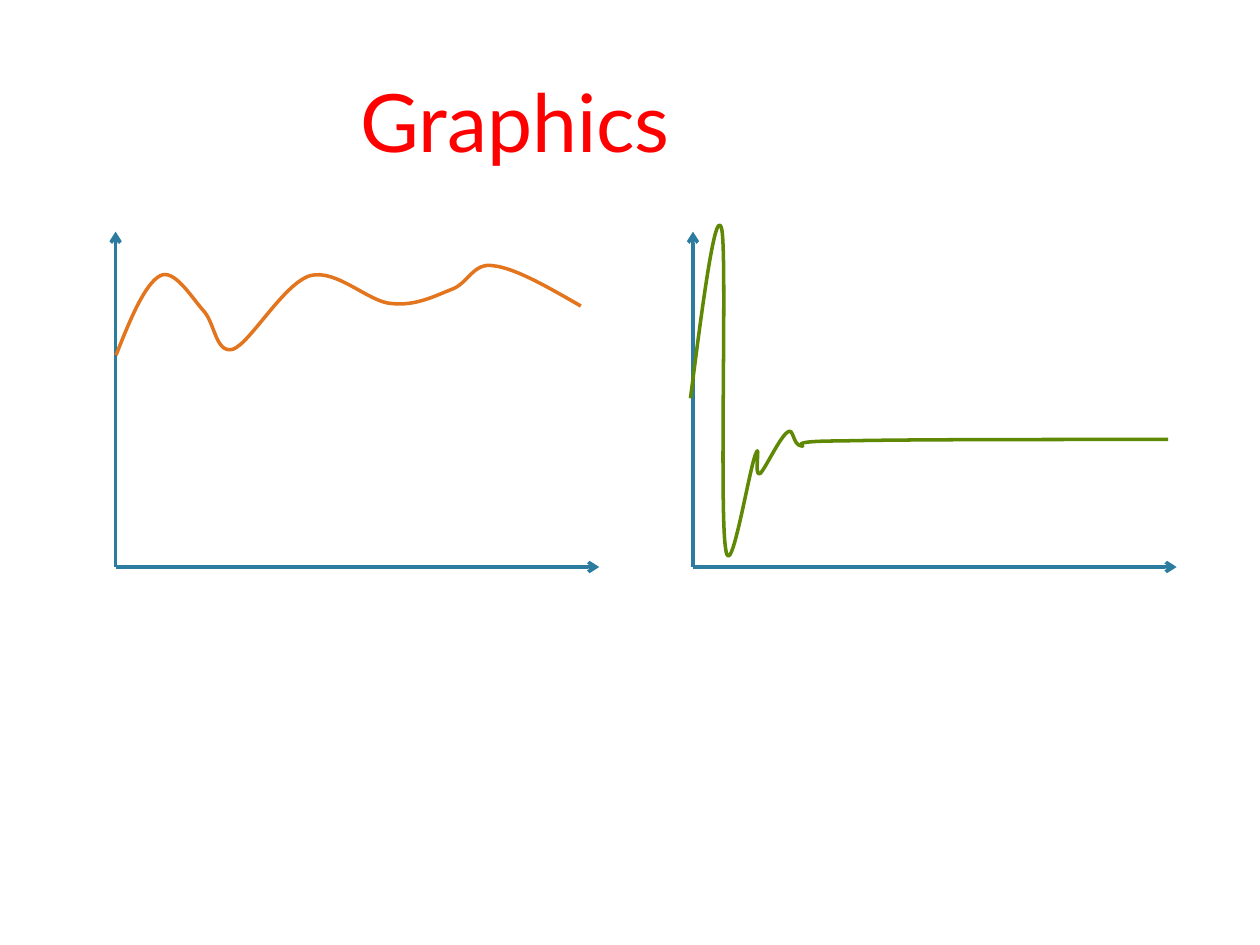
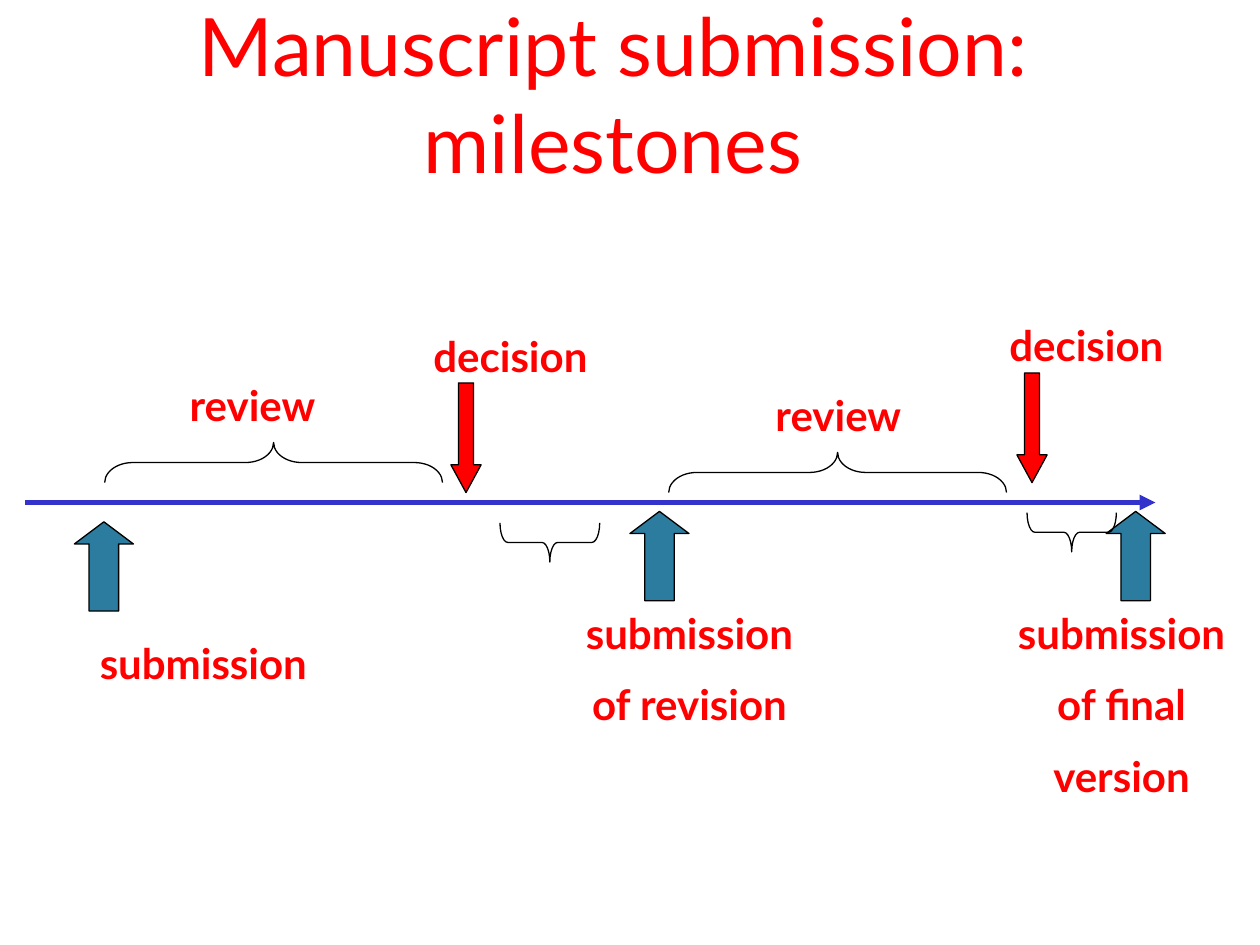
import pptx
import pptx.dml.color
import pptx.enum.shapes
import pptx.enum.text
import pptx.oxml.ns
import pptx.util
import lxml.etree

Cm = pptx.util.Cm
Pt = pptx.util.Pt
Rgb = pptx.dml.color.RGBColor.from_string
Kind = pptx.enum.shapes.MSO_SHAPE
Text = pptx.enum.text
qn = pptx.oxml.ns.qn

hues = {
    "red": "FF0000",
    "teal": "2C7C9F",
    "orange": "E2751D",
    "green": "5F8804",
    "blue": "3333CC",
    "black": "000000",
}
title = {"size": Pt(46), "name": "Lato", "bold": False}
label = {"size": Pt(24), "name": "Lato", "bold": True}


def write(slide, box, lines, style, anchor):
    frame = slide.shapes.add_textbox(*map(Cm, box)).text_frame
    frame.word_wrap = True
    frame.vertical_anchor = anchor
    for i, line in enumerate(lines):
        para = frame.paragraphs[0] if i == 0 else frame.add_paragraph()
        para.text = line
        para.alignment = Text.PP_ALIGN.CENTER
        if i:
            para.space_before = Pt(12)
        for key, value in style.items():
            setattr(para.font, key, value)
        para.font.color.rgb = Rgb(hues["red"])


def arrow(slide, start, end, hue, width, head):
    line = slide.shapes.add_connector(
        pptx.enum.shapes.MSO_CONNECTOR.STRAIGHT, *map(Cm, start + end))
    line.line.color.rgb = Rgb(hues[hue])
    line.line.width = Pt(width)
    props = line._element.spPr
    lxml.etree.SubElement(props.find(qn("a:ln")), qn("a:tailEnd"), type=head)
    lxml.etree.SubElement(props, qn("a:effectLst"))


deck = pptx.Presentation()
deck.slide_width, deck.slide_height = Cm(25.4), Cm(19.05)
blank = deck.slide_layouts[6]

plots = deck.slides.add_slide(blank)
write(plots, (2.67, 1.32, 15.42, 2.21), ["Graphics"], title,
      Text.MSO_ANCHOR.BOTTOM)

base, top, span = 11.43, 4.67, 9.75
for left in (2.33, 13.97):
    for end in ((left + span, base), (left, top)):
        arrow(plots, (left, base), end, "teal", 2, "arrow")

curves = {
    "orange": [
        (2.34, 7.16), (2.62, 6.45), (2.92, 5.72), (3.23, 5.56),
        (3.51, 5.41), (3.86, 5.99), (4.09, 6.25),
        (4.34, 6.5), (4.34, 7.14), (4.7, 7.04),
        (5.05, 6.91), (5.72, 5.72), (6.25, 5.56),
        (6.78, 5.41), (7.44, 6.1), (7.9, 6.12),
        (8.38, 6.17), (8.76, 5.97), (9.09, 5.84),
        (9.45, 5.72), (9.53, 5.28), (9.96, 5.36),
        (10.39, 5.41), (11.05, 5.79), (11.71, 6.17),
    ],
    "green": [
        (13.92, 8.03), (14.17, 6.07), (14.43, 4.11), (14.55, 4.62),
        (14.66, 5.13), (14.5, 10.31), (14.63, 11.07),
        (14.73, 11.81), (15.11, 9.4), (15.24, 9.14),
        (15.34, 8.89), (15.19, 9.63), (15.32, 9.55),
        (15.42, 9.47), (15.72, 8.81), (15.88, 8.71),
        (16, 8.61), (15.98, 8.97), (16.15, 8.99),
        (16.33, 9.02), (15.7, 8.89), (16.94, 8.89),
        (18.16, 8.86), (20.85, 8.86), (23.55, 8.86),
    ],
}
for hue, knots in curves.items():
    dots = [tuple(map(Cm, knot)) for knot in knots]
    pen = plots.shapes.build_freeform(*dots[0])
    pen.add_line_segments(dots[1:], close=False)
    curve = pen.convert_to_shape()
    trace = next(curve._element.iter(qn("a:path")))
    legs = trace.findall(qn("a:lnTo"))
    for i in range(0, len(legs), 3):
        bend = lxml.etree.SubElement(trace, qn("a:cubicBezTo"))
        for leg in legs[i:i + 3]:
            bend.append(leg[0])
            trace.remove(leg)
    curve.shadow.inherit = False
    curve.fill.background()
    curve.line.color.rgb = Rgb(hues[hue])
    curve.line.width = Pt(2)

stages = deck.slides.add_slide(blank)
write(stages, (0, 0.76, 24.71, 3.18), ["Manuscript submission:\vmilestones"],
      title, Text.MSO_ANCHOR.BOTTOM)

labels = [
    (1.3, 12.73, ["submission"]),
    (2.29, 7.52, ["review"]),
    (7.49, 6.53, ["decision"]),
    (11.1, 12.12, ["submission", "of revision"]),
    (19.1, 6.32, ["decision"]),
    (14.1, 7.72, ["review"]),
    (19.81, 12.12, ["submission", "of final", "version"]),
]
for left, top, lines in labels:
    tall = 1.27 + 1.43 * (len(lines) - 1)
    write(stages, (left, top, 5.6, tall), lines, label, Text.MSO_ANCHOR.TOP)

arrow(stages, (0.51, 10.13), (23.29, 10.13), "blue", 3, "triangle")

up = (Kind.UP_ARROW, 1.19, 1.8, 0, (0.5, 0.375), "teal")
down = (Kind.DOWN_ARROW, 0.61, 2.21, 0, (0.5, 0.918), "red")
over = (Kind.LEFT_BRACE, 0.81, 6.81, 90, (0.7, 0.5), None)
under = (Kind.LEFT_BRACE, 0.79, 2.01, 270, (0.2, 0.5), None)
short = (Kind.LEFT_BRACE, 0.79, 1.8, 270, (0.2, 0.5), None)
marks = [
    (up, [(1.5, 10.52), (12.7, 10.31), (22.3, 10.31)]),
    (down, [(9.09, 7.72), (20.5, 7.52)]),
    (over, [(5.11, 5.92), (16.48, 6.12)]),
    (under, [(10.69, 9.93)]),
    (short, [(21.21, 9.83)]),
]
for (kind, wide, tall, turn, bends, hue), spots in marks:
    for left, top in spots:
        mark = stages.shapes.add_shape(kind, *map(Cm, (left, top, wide, tall)))
        mark.rotation = turn
        for i, bend in enumerate(bends):
            mark.adjustments[i] = bend
        mark.shadow.inherit = False
        if hue:
            mark.fill.solid()
            mark.fill.fore_color.rgb = Rgb(hues[hue])
        else:
            mark.fill.background()
        mark.line.color.rgb = Rgb(hues["black"])
        mark.line.width = Pt(0.75)

deck.save("out.pptx")
